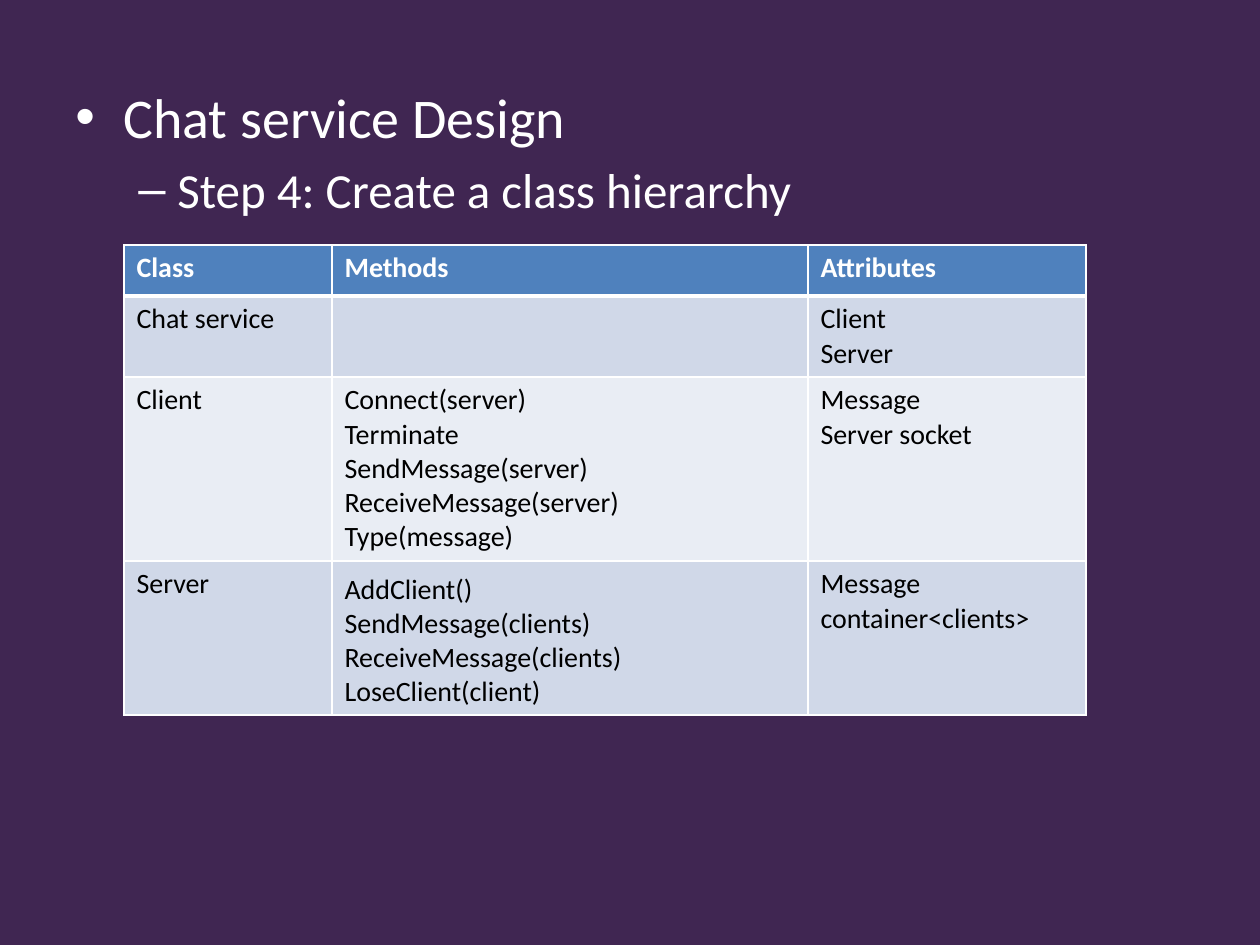
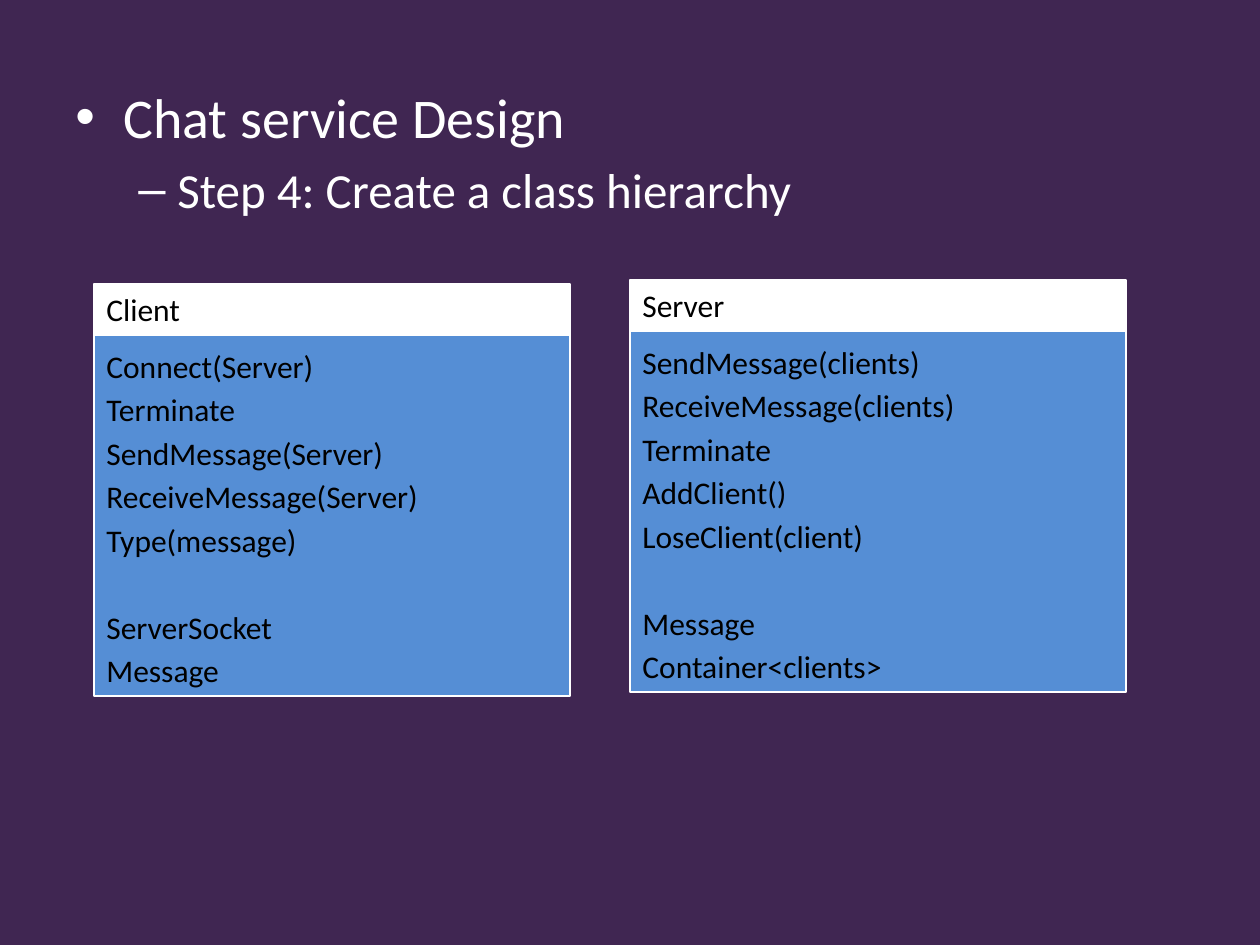
from dataclasses import dataclass
from typing import Any

from lxml.etree import SubElement
from pptx import Presentation
from pptx.dml.color import RGBColor
from pptx.enum.shapes import MSO_SHAPE as Shape
from pptx.enum.text import MSO_ANCHOR as Anchor, PP_ALIGN as Align
from pptx.oxml.ns import qn
from pptx.util import Emu, Pt

PX_PER_INCH = 126
FONT = "Calibri"
COLORS = {
    "background": "402652",
    "white": "FFFFFF",
    "black": "000000",
    "header": "4F81BD",
    "band": "D0D8E8",
    "band_light": "E9EDF4",
    "members": "558ED5",
}
LOOSE = 1.15  # line spacing of class members


@dataclass(frozen=True)
class Bullet:
    mark: str
    left: int
    hang: int


@dataclass(frozen=True)
class Heading:
    text: str
    size: int
    bullet: Bullet
    before: float = 0


@dataclass(frozen=True)
class ClassRow:
    height: int
    name: str
    methods: tuple[str, ...]
    attributes: tuple[str, ...]
    first_method_spacing: float = 1.0


@dataclass(frozen=True)
class ClassCard:
    name: str
    left: int
    top: int
    width: int
    methods: tuple[str, ...]
    attributes: tuple[str, ...]


HEADINGS = (
    Heading("Chat service Design", 32, Bullet("•", 48, 48)),
    Heading("Step 4: Create a class hierarchy", 28, Bullet("–", 102, 39), before=5.6),
)

COLUMN_WIDTHS = (208, 476, 278)
HEADER_HEIGHT = 51
COLUMN_TITLES = ("Class", "Methods", "Attributes")
CLASS_ROWS = (
    ClassRow(81, "Chat service", (), ("Client", "Server")),
    ClassRow(184, "Client",
             ("Connect(server)", "Terminate", "SendMessage(server)",
              "ReceiveMessage(server)", "Type(message)"),
             ("Message", "Server socket")),
    ClassRow(154, "Server",
             ("AddClient()", "SendMessage(clients)",
              "ReceiveMessage(clients)", "LoseClient(client)"),
             ("Message", "container<clients>"), first_method_spacing=LOOSE),
)

CARD_NAME_HEIGHT = 51
CARD_MEMBERS_HEIGHT = 361
CLASS_CARDS = (
    ClassCard("Server", 630, 280, 496,
              ("SendMessage(clients)", "ReceiveMessage(clients)", "Terminate",
               "AddClient()", "LoseClient(client)"),
              ("Message", "Container<clients>")),
    ClassCard("Client", 94, 284, 476,
              ("Connect(Server)", "Terminate", "SendMessage(Server)",
               "ReceiveMessage(Server)", "Type(message)"),
              ("ServerSocket", "Message")),
)


def px(length: int) -> Emu:
    return Emu(round(length * 914400 / PX_PER_INCH))


def rgb(name: str) -> RGBColor:
    return RGBColor.from_string(COLORS[name])


def add_line(frame: Any, text: str, *, size: int, color: str = "black",
             bold: bool = False, spacing: float = 1.0, before: float = 0,
             bullet: Bullet | None = None) -> None:
    """Add one paragraph, using the empty first one when it is free."""
    first = frame.paragraphs[0]
    para = frame.add_paragraph() if first.runs else first
    if bullet:
        properties = para._p.get_or_add_pPr()
        properties.set("marL", str(px(bullet.left)))
        properties.set("indent", str(-px(bullet.hang)))
        SubElement(properties, qn("a:buFont"), typeface="Arial")
        SubElement(properties, qn("a:buChar"), char=bullet.mark)
    para.alignment = Align.LEFT
    para.line_spacing = spacing
    if before:
        para.space_before = Pt(before)
    span = para.add_run()
    span.text = text
    span.font.name = FONT
    span.font.size = Pt(size)
    span.font.bold = bold
    span.font.color.rgb = rgb(color)


def add_page(deck: Any) -> Any:
    """Add a page with the shared background and headings."""
    page = deck.slides.add_slide(deck.slide_layouts[6])
    page.background.fill.solid()
    page.background.fill.fore_color.rgb = rgb("background")
    box = page.shapes.add_textbox(px(63), px(76), px(1134), px(843))
    box.text_frame.word_wrap = True
    for heading in HEADINGS:
        add_line(box.text_frame, heading.text, size=heading.size, color="white",
                 before=heading.before, bullet=heading.bullet)
    return page


def style_cell(cell: Any, fill: str, top: float = 1, bottom: float = 1) -> None:
    """Give a cell white borders and a plain fill."""
    properties = cell._tc.get_or_add_tcPr()
    for side, width in (("L", 1), ("R", 1), ("T", top), ("B", bottom)):
        line = SubElement(properties, qn(f"a:ln{side}"), w=str(Pt(width)))
        solid = SubElement(line, qn("a:solidFill"))
        SubElement(solid, qn("a:srgbClr"), val=COLORS["white"])
    cell.fill.solid()
    cell.fill.fore_color.rgb = rgb(fill)


def add_class_table(page: Any) -> None:
    heights = (HEADER_HEIGHT, *(row.height for row in CLASS_ROWS))
    table = page.shapes.add_table(
        len(heights), len(COLUMN_WIDTHS), px(124), px(245),
        px(sum(COLUMN_WIDTHS)), px(sum(heights))).table
    table.first_row = table.horz_banding = False
    for column, width in zip(table.columns, COLUMN_WIDTHS):
        column.width = px(width)
    for table_row, height in zip(table.rows, heights):
        table_row.height = px(height)

    # Header
    for index, title in enumerate(COLUMN_TITLES):
        cell = table.cell(0, index)
        style_cell(cell, "header", bottom=3)
        add_line(cell.text_frame, title, size=16, color="white", bold=True)

    # Classes, in alternating bands
    for number, row in enumerate(CLASS_ROWS, start=1):
        fill = "band" if number % 2 else "band_light"
        for index, lines in enumerate(((row.name,), row.methods, row.attributes)):
            cell = table.cell(number, index)
            style_cell(cell, fill, top=3 if number == 1 else 1)
            for position, text in enumerate(lines):
                opens_methods = index == 1 and position == 0
                add_line(cell.text_frame, text, size=16,
                         spacing=row.first_method_spacing if opens_methods else 1.0)


def add_card_box(page: Any, card: ClassCard, top: int, height: int, fill: str) -> Any:
    box = page.shapes.add_shape(Shape.RECTANGLE, px(card.left), px(top),
                                px(card.width), px(height))
    box.shadow.inherit = False
    box.fill.solid()
    box.fill.fore_color.rgb = rgb(fill)
    box.line.color.rgb = rgb("white")
    box.line.width = Pt(1.5)
    box.text_frame.word_wrap = True
    box.text_frame.vertical_anchor = Anchor.TOP
    return box.text_frame


def add_class_card(page: Any, card: ClassCard) -> None:
    # Members, with a one-line gap before the attributes
    members = add_card_box(page, card, card.top + CARD_NAME_HEIGHT,
                           CARD_MEMBERS_HEIGHT, "members")
    for method in card.methods:
        add_line(members, method, size=18, spacing=LOOSE)
    for index, attribute in enumerate(card.attributes):
        add_line(members, attribute, size=18, spacing=LOOSE,
                 before=0 if index else 25)
    # Class name
    name = add_card_box(page, card, card.top, CARD_NAME_HEIGHT, "white")
    add_line(name, card.name, size=18)


def main() -> None:
    deck = Presentation()
    deck.slide_width, deck.slide_height = px(1260), px(945)
    add_class_table(add_page(deck))
    cards_page = add_page(deck)
    for card in CLASS_CARDS:
        add_class_card(cards_page, card)
    deck.save("out.pptx")


if __name__ == "__main__":
    main()
